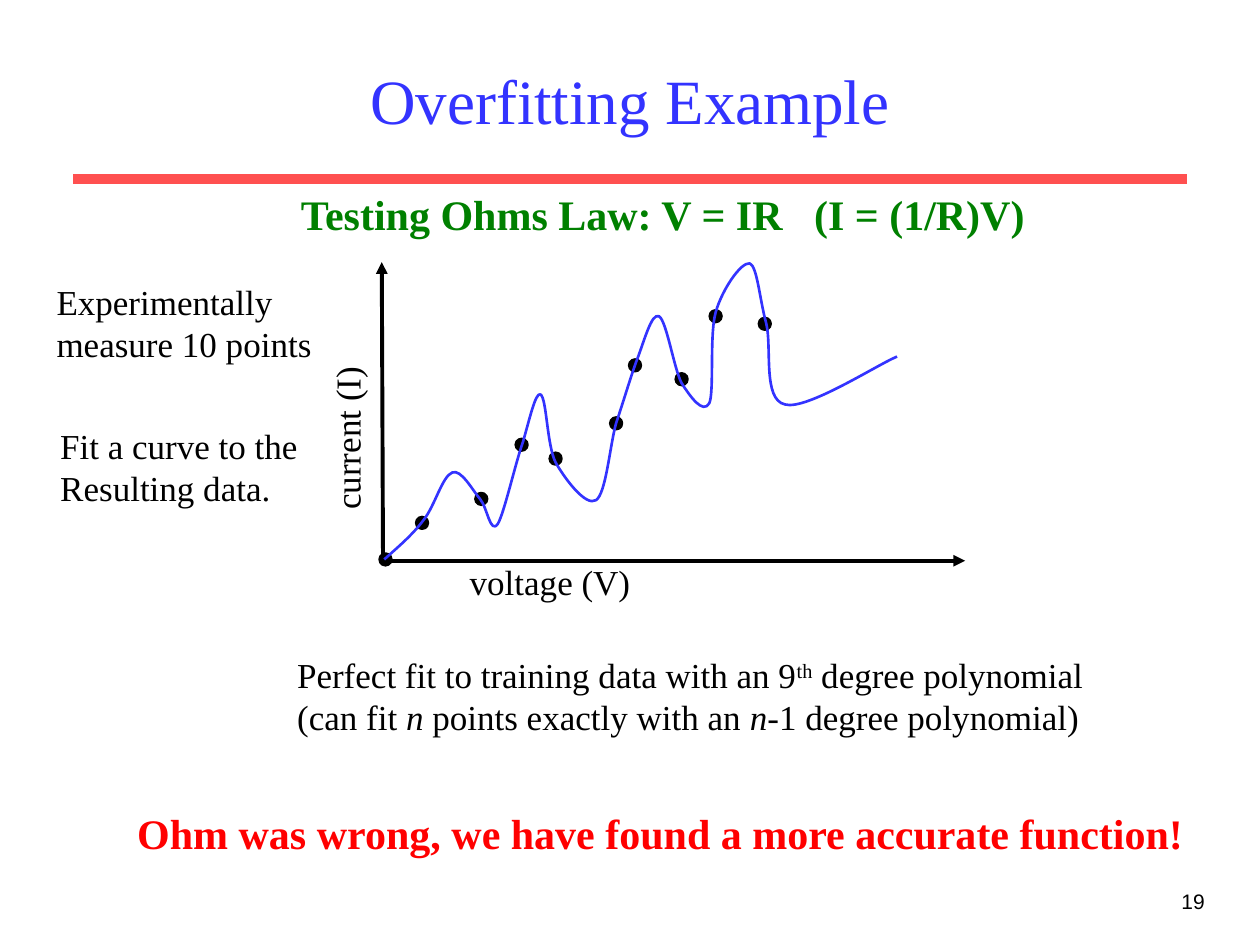
from lxml import etree
from pptx import Presentation
from pptx.dml.color import RGBColor
from pptx.enum.shapes import MSO_CONNECTOR, MSO_SHAPE
from pptx.enum.text import MSO_ANCHOR, MSO_AUTO_SIZE, PP_ALIGN
from pptx.oxml.ns import qn
from pptx.util import Pt

PX = 9144  # 100 px to the inch
LEFT, CENTER, RIGHT = PP_ALIGN.LEFT, PP_ALIGN.CENTER, PP_ALIGN.RIGHT
MIDDLE = MSO_ANCHOR.MIDDLE
FIT_SHAPE = MSO_AUTO_SIZE.SHAPE_TO_FIT_TEXT
STRAIGHT = MSO_CONNECTOR.STRAIGHT
OVAL = MSO_SHAPE.OVAL

COLORS = {"blue": "3333FF", "rule": "FF5050", "black": "000000",
          "green": "008000", "red": "FF0000"}
SERIF, SANS = "Times New Roman", "Arial"

TITLE = "Overfitting Example"
TITLE_BOX = (75, 25, 850, 108)
RULE = (58, 142, 942, 142)
AXES = [(304, 445, 303, 208), (303, 445, 766, 445)]

# Each paragraph is a list of (text, style) runs
LABELS = [
    # box, paragraphs, size, color, bold, rotation
    ((363, 440, 153, 44), [[("voltage (V)", "")]], 20, "black", False, 0),
    ((206, 323, 139, 44), [[("current (I)", "")]], 20, "black", False, 270),
    ((229, 145, 602, 50), [[("Testing Ohms Law: V = IR   (I = (1/R)V)", "")]],
     24, "green", True, 0),
    ((99, 636, 854, 50),
     [[("Ohm was wrong, we have found a more accurate function!", "")]],
     24, "red", True, 0),
    ((226, 514, 647, 77),
     [[("Perfect fit to training data with an 9", ""), ("th", "super"),
       (" degree polynomial", "")],
      [("(can fit ", ""), ("n", "italic"), (" points exactly with an ", ""),
       ("n", "italic"), ("-1 degree polynomial)", "")]],
     20, "black", False, 0),
    ((35, 218, 228, 77),
     [[("Experimentally", "")], [("measure 10 points", "")]], 20, "black", False, 0),
    ((38, 332, 214, 77),
     [[("Fit a curve to the", "")], [("Resulting data.", "")]], 20, "black", False, 0),
]
PAGE_NUMBER, PAGE_BOX = "19", (758, 700, 208, 50)

DOT = 10
POINTS = [(301, 439), (330, 410), (377, 391), (409, 348), (436, 359),
          (484, 331), (499, 285), (536, 296), (563, 246), (602, 252)]

CURVE_START = (305, 444)
# First control point, second control point, end point
CURVE = [
    ((316, 434), (327, 425), (336, 413)),
    ((345, 402), (351, 378), (359, 375)),
    ((366, 372), (375, 389), (381, 396)),
    ((387, 403), (389, 424), (395, 416)),
    ((400, 408), (409, 368), (415, 351)),
    ((420, 334), (425, 311), (429, 313)),
    ((434, 316), (434, 353), (441, 367)),
    ((449, 381), (465, 402), (473, 397)),
    ((481, 392), (484, 354), (489, 336)),
    ((495, 318), (500, 301), (505, 287)),
    ((511, 272), (517, 248), (523, 251)),
    ((529, 254), (535, 293), (541, 304)),
    ((548, 315), (558, 329), (563, 320)),
    ((567, 311), (563, 266), (568, 248)),
    ((573, 230), (588, 208), (595, 209)),
    ((601, 211), (603, 238), (608, 256)),
    ((613, 275), (605, 317), (623, 321)),
    ((640, 326), (697, 289), (712, 283)),
]


def emu(lengths):
    return [n * PX for n in lengths]


def rgb(name):
    return RGBColor.from_string(COLORS[name])


def style_font(font, size, color, name=SERIF, bold=False):
    font.size, font.name, font.bold = Pt(size), name, bold
    font.color.rgb = rgb(color)


def add_label(slide, box, paragraphs, size, color, bold, rotation):
    sp = slide.shapes.add_textbox(*emu(box))
    sp.rotation = rotation
    tf = sp.text_frame
    tf.word_wrap, tf.auto_size = False, FIT_SHAPE
    for i, runs in enumerate(paragraphs):
        p = tf.add_paragraph() if i else tf.paragraphs[0]
        p.alignment = LEFT
        for text, style in runs:
            r = p.add_run()
            r.text = text
            style_font(r.font, size, color, bold=bold)
            if style == "italic":
                r.font.italic = True
            elif style == "super":
                r._r.get_or_add_rPr().set("baseline", "30000")


def add_line(slide, ends, color, width, arrow=False):
    line = slide.shapes.add_connector(STRAIGHT, *emu(ends))
    line.line.color.rgb, line.line.width = rgb(color), Pt(width)
    if arrow:
        etree.SubElement(line.line._get_or_add_ln(), qn("a:tailEnd"), type="triangle")
    etree.SubElement(line._element.spPr, qn("a:effectLst"))


def add_curve(slide):
    """Build the outline from its end points, then turn each side into a Bézier."""
    ends = [CURVE_START] + [segment[-1] for segment in CURVE]
    left, top = (min(values) for values in zip(*ends))
    builder = slide.shapes.build_freeform(*CURVE_START, scale=PX)
    builder.add_line_segments(ends[1:], close=False)
    sp = builder.convert_to_shape()
    sides = list(sp._element.iter(qn("a:lnTo")))
    for side, segment in zip(sides, CURVE):
        bezier = etree.Element(qn("a:cubicBezTo"))
        for x, y in segment:
            etree.SubElement(bezier, qn("a:pt"), x=str(x - left), y=str(y - top))
        side.getparent().replace(side, bezier)
    sp.shadow.inherit = False
    sp.fill.background()
    sp.line.color.rgb, sp.line.width = rgb("blue"), Pt(1.5)


def main():
    prs = Presentation()
    prs.slide_width, prs.slide_height = emu((1000, 750))
    slide = prs.slides.add_slide(prs.slide_layouts[5])

    title = slide.shapes.title
    title.left, title.top, title.width, title.height = emu(TITLE_BOX)
    tf = title.text_frame
    tf.text, tf.vertical_anchor = TITLE, MIDDLE
    p = tf.paragraphs[0]
    p.alignment = CENTER
    style_font(p.runs[0].font, 36, "blue")

    add_line(slide, RULE, "rule", 6)
    for axis in AXES:
        add_line(slide, axis, "black", 2.25, arrow=True)

    for x, y in POINTS:
        dot = slide.shapes.add_shape(OVAL, *emu((x, y, DOT, DOT)))
        dot.shadow.inherit = False
        dot.fill.solid()
        dot.fill.fore_color.rgb = dot.line.color.rgb = rgb("black")
        dot.line.width = Pt(1)
    add_curve(slide)

    for label in LABELS:
        add_label(slide, *label)

    tf = slide.shapes.add_textbox(*emu(PAGE_BOX)).text_frame
    tf.word_wrap = True
    tf.text = PAGE_NUMBER
    p = tf.paragraphs[0]
    p.alignment = RIGHT
    style_font(p.runs[0].font, 12, "black", SANS)

    prs.save("out.pptx")


if __name__ == "__main__":
    main()
